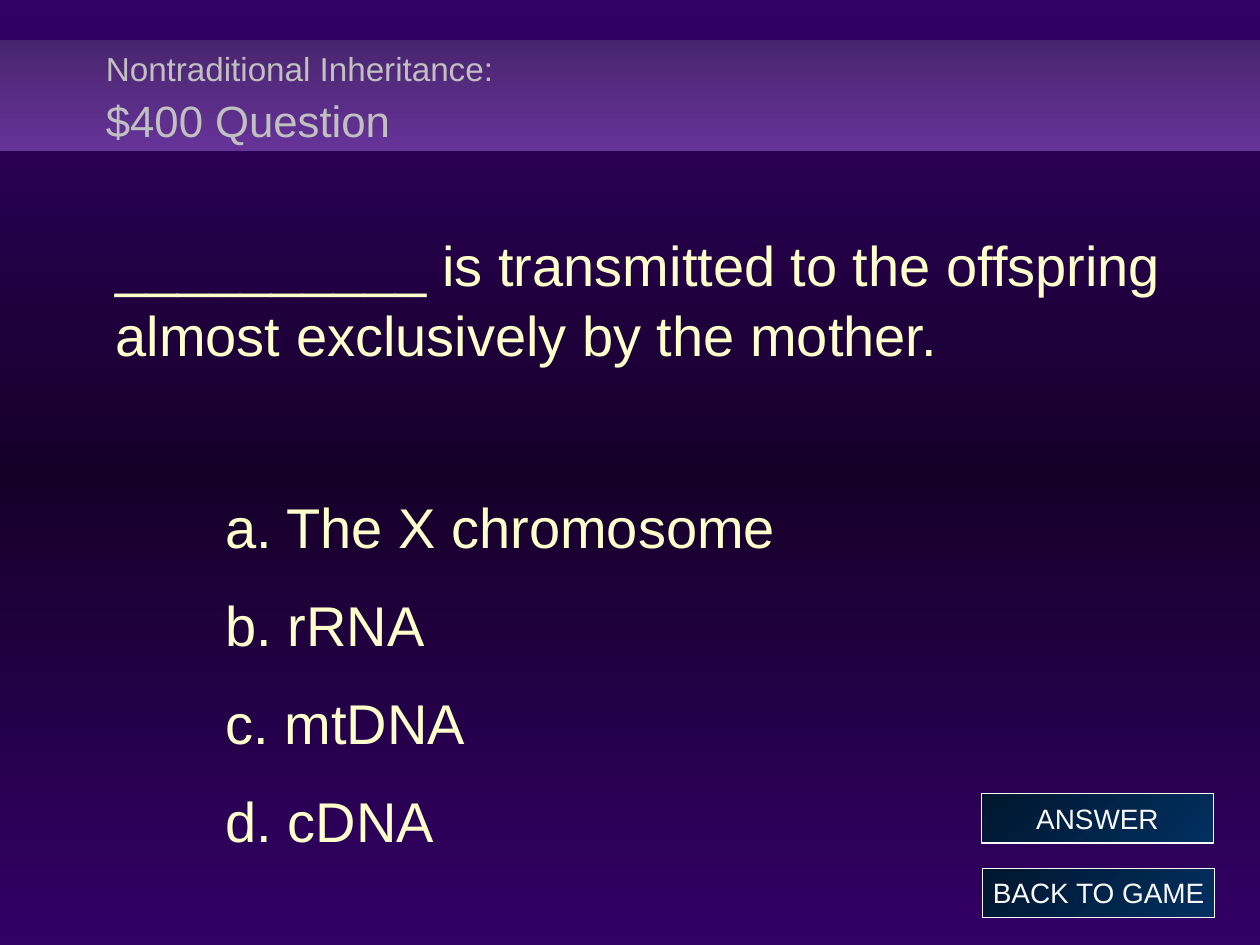
"""Build a quiz slide with a question, four options and two navigation buttons."""
from copy import deepcopy

from lxml.etree import SubElement
from pptx import Presentation
from pptx.dml.color import RGBColor
from pptx.enum.shapes import MSO_SHAPE
from pptx.enum.text import MSO_ANCHOR, MSO_AUTO_SIZE, PP_ALIGN
from pptx.oxml.ns import qn
from pptx.util import Pt

COLORS = {
    "backdrop": "330066",
    "backdrop_mid": "150029",
    "band_top": "49256E",
    "band_bottom": "663399",
    "heading": "C0C0C0",
    "body": "FFFFCC",
    "button_light": "013061",
    "button_dark": "00162D",
    "button_text": "F8F8F8",
}
QUESTION = "__________ is transmitted to the offspring almost exclusively by the mother."
OPTIONS = ["a. The X chromosome", "b. rRNA", "c. mtDNA", "d. cDNA"]
BUTTONS = [("BACK TO GAME", 561.6, 496.1), ("ANSWER", 560.9, 453.6)]


def rgb(name):
    return RGBColor.from_string(COLORS[name])


def set_gradient(fill, names, angle):
    fill.gradient()
    fill.gradient_angle = angle
    stop_list = fill._xPr.find(".//" + qn("a:gsLst"))
    while len(stop_list) < len(names):
        stop_list.append(deepcopy(stop_list[-1]))
    for index, (stop, name) in enumerate(zip(fill.gradient_stops, names)):
        stop.position = index / (len(names) - 1)
        stop.color.rgb = rgb(name)


def format_run(run, size, color):
    run.font.name = "Arial"
    run.font.size = Pt(size)
    run.font.color.rgb = rgb(color)


def add_panel(slide, left, top, width, height, names, angle):
    panel = slide.shapes.add_shape(
        MSO_SHAPE.RECTANGLE, Pt(left), Pt(top), Pt(width), Pt(height))
    panel.shadow.inherit = False
    set_gradient(panel.fill, names, angle)
    return panel


def add_band(slide):
    band = add_panel(slide, 0, 23, 720, 63.4, ["band_top", "band_bottom"], 270)
    band.line.fill.background()
    slide.shapes._spTree.insert(2, band._element)


def set_heading(slide):
    heading = slide.shapes.title
    heading.left, heading.top = Pt(53.3), Pt(22.3)
    heading.width, heading.height = Pt(653.8), Pt(64.1)
    frame = heading.text_frame
    frame.text = "Nontraditional Inheritance:\v$400 Question"
    frame.auto_size = MSO_AUTO_SIZE.NONE
    frame.vertical_anchor = MSO_ANCHOR.MIDDLE
    paragraph = frame.paragraphs[0]
    paragraph.alignment = PP_ALIGN.LEFT
    paragraph.line_spacing = 1.1
    for run, size in zip(paragraph.runs, (19, 25)):
        format_run(run, size, "heading")
    SubElement(paragraph._p.find(qn("a:br")), qn("a:rPr"), sz="1500")


def add_question(slide):
    body = slide.shapes.add_textbox(Pt(59), Pt(103), Pt(622), Pt(411.8))
    frame = body.text_frame
    frame.text = "\n".join([QUESTION, *OPTIONS])
    frame.word_wrap = True
    frame.vertical_anchor = MSO_ANCHOR.MIDDLE
    question, *options = frame.paragraphs
    for option in options:
        option.level = 1
        option.space_before = Pt(8)
        properties = option._p.get_or_add_pPr()
        properties.set("marL", str(Pt(99.4)))
        properties.set("indent", str(Pt(-36.7)))
    options[0].space_before = Pt(62.3)
    for paragraph in frame.paragraphs:
        paragraph.line_spacing = 1.04
        paragraph.space_after = Pt(8)
        format_run(paragraph.runs[0], 32, "body")


def add_button(slide, label, left, top):
    button = add_panel(
        slide, left, top, 132.5, 28.1, ["button_light", "button_dark"], 135)
    button.line.color.rgb = rgb("button_text")
    button.line.width = Pt(0.75)
    frame = button.text_frame
    frame.text = label
    frame.word_wrap = False
    frame.vertical_anchor = MSO_ANCHOR.MIDDLE
    frame.paragraphs[0].alignment = PP_ALIGN.CENTER
    format_run(frame.paragraphs[0].runs[0], 16, "button_text")


def main():
    deck = Presentation()
    deck.slide_width, deck.slide_height = Pt(720), Pt(540)
    slide = deck.slides.add_slide(deck.slide_layouts[5])
    set_gradient(
        slide.background.fill, ["backdrop", "backdrop_mid", "backdrop"], 270)
    add_band(slide)
    set_heading(slide)
    add_question(slide)
    for label, left, top in BUTTONS:
        add_button(slide, label, left, top)
    deck.save("out.pptx")


if __name__ == "__main__":
    main()
